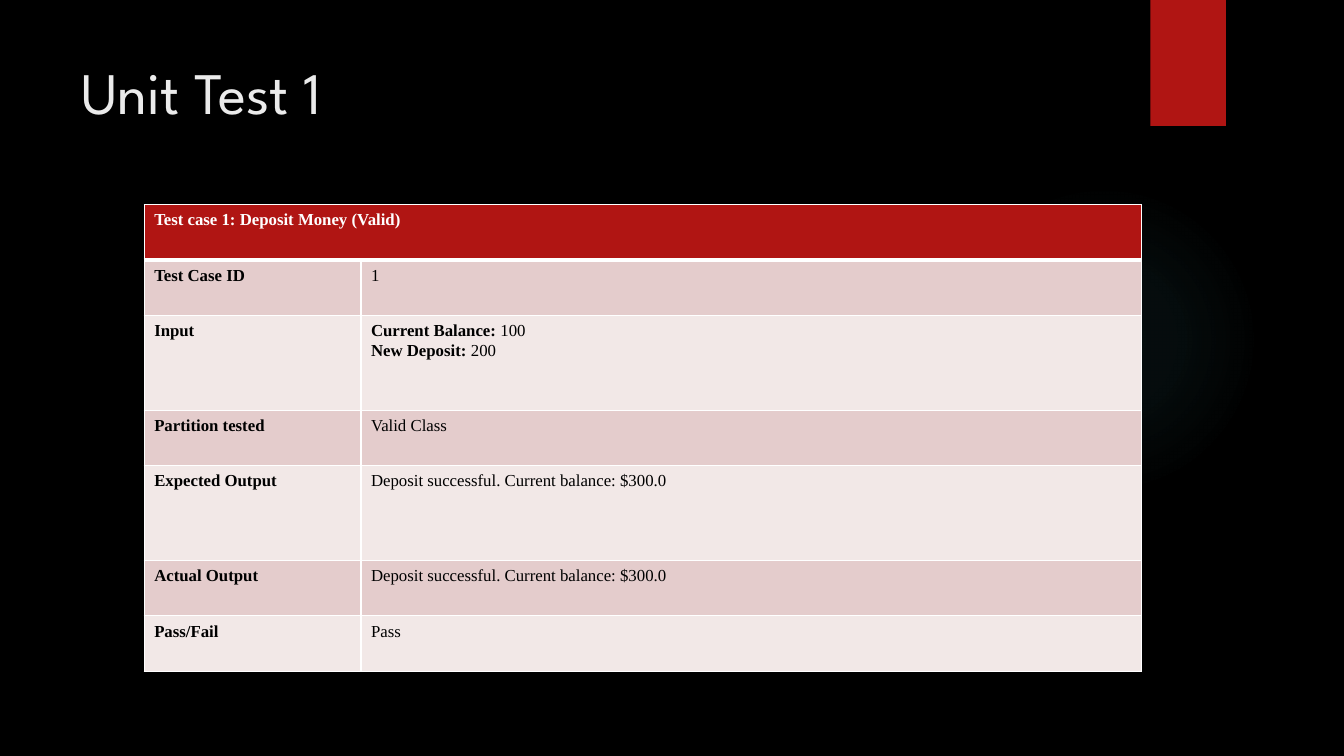
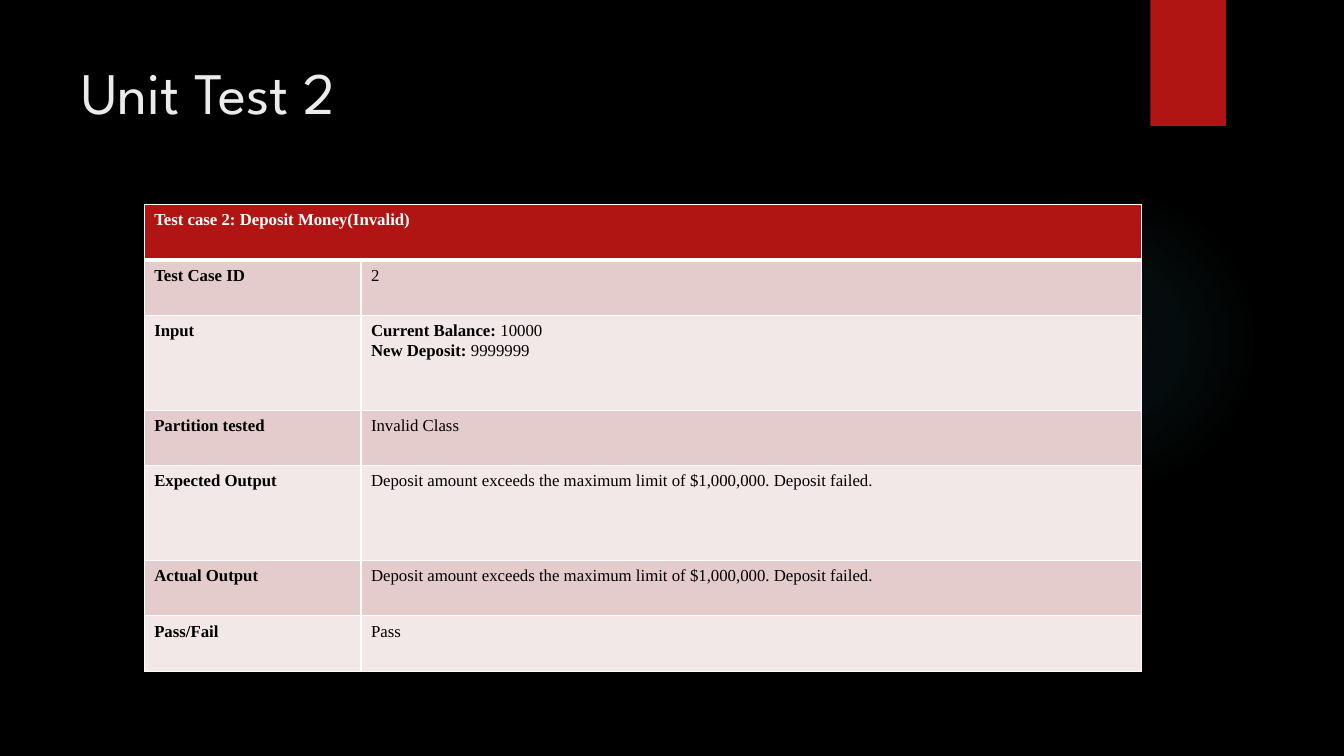
from lxml import etree
from pptx import Presentation
from pptx.dml.color import RGBColor
from pptx.enum.shapes import MSO_SHAPE as Shape
from pptx.enum.text import MSO_ANCHOR as Anchor
from pptx.oxml import parse_xml
from pptx.oxml.ns import nsdecls, qn
from pptx.util import Inches, Pt

BLACK, WHITE, TITLE_GREY = "000000", "FFFFFF", "EBEBEB"
RED, DARK_BAND, LIGHT_BAND, TEAL = "B01513", "E4CCCC", "F2E8E7", "50B9C1"
TITLE_FONT, TABLE_FONT = "League Spartan", "Times New Roman"
COLUMN_WIDTHS = (2.15, 7.74)
SHORT_ROW, TALL_ROW = 0.55, 0.94
TALL_LABELS = ("Input", "Expected Output")
GLOW_STOPS = ((0, 7), (36, 6), (69, 0), (100, 0))

TEST_CASES = [
    {"title": "Unit Test 1", "heading": "Test case 1: Deposit Money (Valid)",
     "id": "1", "balance": "100", "deposit": "200", "partition": "Valid Class",
     "output": "Deposit successful. Current balance: $300.0"},
    {"title": "Unit Test 2", "heading": "Test case 2: Deposit Money(Invalid)",
     "id": "2", "balance": "10000", "deposit": "9999999", "partition": "Invalid Class",
     "output": "Deposit amount exceeds the maximum limit of $1,000,000. Deposit failed."},
]


def color(hex_code):
    """Turn a hex string into a colour."""
    return RGBColor.from_string(hex_code)


def add_run(paragraph, text, font, size, hex_code, bold=False):
    """Add one styled run to a paragraph."""
    run = paragraph.add_run()
    run.text = text
    run.font.name = font
    run.font.size = Pt(size)
    run.font.bold = bold
    run.font.color.rgb = color(hex_code)


def add_plain_shape(slide, kind, left, top, width, height):
    """Add a preset shape without outline or shadow."""
    shape = slide.shapes.add_shape(kind, Inches(left), Inches(top), Inches(width), Inches(height))
    shape.shadow.inherit = False
    shape.line.fill.background()
    return shape


def add_glow(slide, left, top, size):
    """Draw the faint round teal glow."""
    glow = add_plain_shape(slide, Shape.OVAL, left, top, size, size)
    stops = "".join(
        f'<a:gs pos="{position * 1000}"><a:srgbClr val="{TEAL}">'
        f'<a:alpha val="{opacity * 1000}"/></a:srgbClr></a:gs>'
        for position, opacity in GLOW_STOPS)
    gradient = parse_xml(
        f'<a:gradFill {nsdecls("a")} rotWithShape="1"><a:gsLst>{stops}</a:gsLst>'
        '<a:path path="circle"><a:fillToRect l="50000" t="50000" r="50000" b="50000"/>'
        '</a:path></a:gradFill>')
    glow.element.spPr.find(qn("a:prstGeom")).addnext(gradient)


def add_backdrop(slide):
    """Place the black background, the glow and the red tab."""
    slide.background.fill.solid()
    slide.background.fill.fore_color.rgb = color(BLACK)
    add_glow(slide, 9.41, 1.83, 3.08)
    tab = add_plain_shape(slide, Shape.RECTANGLE, 11.41, 0, 0.75, 1.25)
    tab.fill.solid()
    tab.fill.fore_color.rgb = color(RED)


def add_title(slide, text, left, top, width, height):
    """Write the slide title in its box."""
    frame = slide.shapes.add_textbox(
        Inches(left), Inches(top), Inches(width), Inches(height)).text_frame
    frame.word_wrap = True
    frame.vertical_anchor = Anchor.TOP
    add_run(frame.paragraphs[0], text, TITLE_FONT, 42, TITLE_GREY)


def style_cell(cell, fill, top_width=1, bottom_width=1):
    """Give a cell its white borders and its fill."""
    properties = cell._tc.get_or_add_tcPr()
    for side, width in (("L", 1), ("R", 1), ("T", top_width), ("B", bottom_width)):
        border = etree.SubElement(properties, qn(f"a:ln{side}"), w=str(Pt(width)))
        border_fill = etree.SubElement(border, qn("a:solidFill"))
        etree.SubElement(border_fill, qn("a:srgbClr"), val=WHITE)
    cell.fill.solid()
    cell.fill.fore_color.rgb = color(fill)


def write_cell(cell, lines, hex_code=BLACK, space_after=8):
    """Write lines, each a list of (text, bold) runs, into a cell."""
    frame = cell.text_frame
    for index, runs in enumerate(lines):
        paragraph = frame.add_paragraph() if index else frame.paragraphs[0]
        paragraph.line_spacing = 1.07
        paragraph.space_after = Pt(space_after)
        for text, bold in runs:
            add_run(paragraph, text, TABLE_FONT, 12, hex_code, bold)


def add_case_table(slide, case, left, top):
    """Build the table of one test case."""
    inputs = [[("Current Balance: ", True), (case["balance"], False)],
              [("New Deposit: ", True), (case["deposit"], False)]]
    output = [[(case["output"], False)]]
    rows = [("Test Case ID", [[(case["id"], False)]]),
            ("Input", inputs),
            ("Partition tested", [[(case["partition"], False)]]),
            ("Expected Output", output),
            ("Actual Output", output),
            ("Pass/Fail", [[("Pass", False)]])]
    heights = [SHORT_ROW] + [TALL_ROW if label in TALL_LABELS else SHORT_ROW for label, _ in rows]
    table = slide.shapes.add_table(
        len(heights), len(COLUMN_WIDTHS), Inches(left), Inches(top),
        Inches(sum(COLUMN_WIDTHS)), Inches(sum(heights))).table
    for column, width in zip(table.columns, COLUMN_WIDTHS):
        column.width = Inches(width)
    for row, height in zip(table.rows, heights):
        row.height = Inches(height)

    heading = table.cell(0, 0)
    heading.merge(table.cell(0, 1))
    for column in range(len(COLUMN_WIDTHS)):
        style_cell(table.cell(0, column), RED, bottom_width=3)
    write_cell(heading, [[(case["heading"], True)]], WHITE)

    for index, (label, value) in enumerate(rows, start=1):
        band = DARK_BAND if index % 2 else LIGHT_BAND
        for column, lines in enumerate(([[(label, True)]], value)):
            cell = table.cell(index, column)
            style_cell(cell, band, top_width=3 if index == 1 else 1)
            write_cell(cell, lines, space_after=0 if len(lines) > 1 else 8)


def add_case_slide(deck, case):
    """Add the slide of one test case."""
    slide = deck.slides.add_slide(deck.slide_layouts[6])
    add_backdrop(slide)
    add_title(slide, case["title"], 0.71, 0.5, 10.29, 1.53)
    add_case_table(slide, case, 1.43, 2.03)


def main():
    """Build and save the deck."""
    deck = Presentation()
    deck.slide_width, deck.slide_height = Inches(13.33), Inches(7.5)
    for case in TEST_CASES:
        add_case_slide(deck, case)
    deck.save("out.pptx")


if __name__ == "__main__":
    main()
